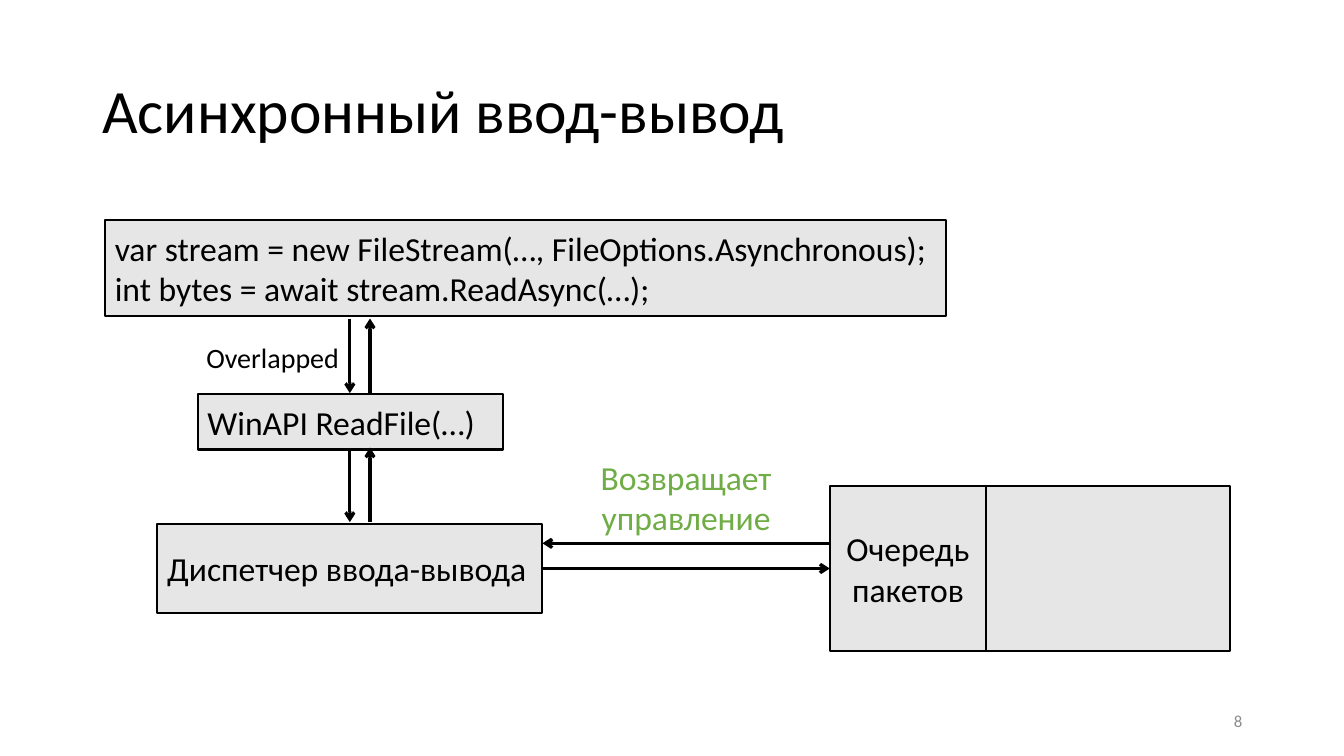
"""Build the slide on asynchronous input and output."""
import lxml.etree
import pptx
import pptx.dml.color
import pptx.enum.shapes
import pptx.enum.text
import pptx.oxml.ns
import pptx.util

BLACK = pptx.dml.color.RGBColor(0x00, 0x00, 0x00)
GRAY = pptx.dml.color.RGBColor(0xE7, 0xE6, 0xE6)
GREEN = pptx.dml.color.RGBColor(0x70, 0xAD, 0x47)
NUMBER_GRAY = pptx.dml.color.RGBColor(0x8C, 0x8C, 0x8C)
LEFT = pptx.enum.text.PP_ALIGN.LEFT
CENTER = pptx.enum.text.PP_ALIGN.CENTER
RIGHT = pptx.enum.text.PP_ALIGN.RIGHT
TOP = pptx.enum.text.MSO_ANCHOR.TOP
MIDDLE = pptx.enum.text.MSO_ANCHOR.MIDDLE

EMU_PER_PX = 9144
SLIDE_SIZE = (1333, 750)

STAGES = [
    ((104, 218, 834, 96), LEFT, [
        "var stream = new FileStream(…, FileOptions.Asynchronous);",
        "int bytes = await stream.ReadAsync(…);",
    ]),
    ((196, 391, 303, 55), LEFT, ["WinAPI ReadFile(…)"]),
    ((156, 520, 382, 88), LEFT, ["Диспетчер ввода-вывода"]),
    ((823, 482, 155, 164), CENTER, ["Очередь", "пакетов"]),
    ((978, 482, 242, 164), CENTER, []),
]

LABELS = [
    ((92, 40, 1150, 145), ["Асинхронный ввод-вывод"], 44, BLACK,
     {"word_wrap": True, "vertical_anchor": MIDDLE}, {"alignment": LEFT, "line_spacing": 0.9}),
    ((585, 448, 191, 91), ["Возвращает", "управление"], 24, GREEN,
     {"word_wrap": False, "vertical_anchor": TOP}, {"alignment": CENTER}),
    ((194, 333, 153, 44), ["Overlapped"], 20, BLACK,
     {"word_wrap": False, "vertical_anchor": TOP}, {"alignment": CENTER}),
    ((942, 695, 300, 40), ["8"], 12, NUMBER_GRAY,
     {"word_wrap": True, "vertical_anchor": MIDDLE}, {"alignment": RIGHT}),
]

CALL_X, RETURN_X = 347, 367
CALL_Y, RETURN_Y = 564, 539
STAGE_GAPS = [(316, 390), (444, 518)]
QUEUE_GAP = (538, 823)


def px(length):
    return pptx.util.Emu(length * EMU_PER_PX)


def set_attributes(target, values):
    for name, value in values.items():
        setattr(target, name, value)


def write_lines(frame, lines, size, color, frame_format, paragraph_format):
    set_attributes(frame, frame_format)
    for index, line in enumerate(lines):
        paragraph = frame.paragraphs[0] if index == 0 else frame.add_paragraph()
        set_attributes(paragraph, paragraph_format)
        run = paragraph.add_run()
        run.text = line
        set_attributes(run.font, {"name": "Calibri", "size": pptx.util.Pt(size)})
        run.font.color.rgb = color


def add_stage(slide, bounds, alignment, lines):
    stage = slide.shapes.add_shape(
        pptx.enum.shapes.MSO_SHAPE.RECTANGLE, *map(px, bounds))
    stage.shadow.inherit = False
    stage.fill.solid()
    stage.fill.fore_color.rgb = GRAY
    stage.line.color.rgb = BLACK
    stage.line.width = pptx.util.Pt(1.5)
    write_lines(stage.text_frame, lines, 24, BLACK,
                {"word_wrap": True, "vertical_anchor": MIDDLE}, {"alignment": alignment})


def add_arrow(slide, start, end):
    arrow = slide.shapes.add_connector(
        pptx.enum.shapes.MSO_CONNECTOR.STRAIGHT, *map(px, start + end))
    arrow.line.color.rgb = BLACK
    arrow.line.width = pptx.util.Pt(2.25)
    qn = pptx.oxml.ns.qn
    lxml.etree.SubElement(arrow.line._get_or_add_ln(), qn("a:tailEnd"), type="arrow")
    lxml.etree.SubElement(arrow._element.spPr, qn("a:effectLst"))


def main():
    deck = pptx.Presentation()
    deck.slide_width, deck.slide_height = map(px, SLIDE_SIZE)
    slide = deck.slides.add_slide(deck.slide_layouts[6])
    for stage in STAGES:
        add_stage(slide, *stage)
    for upper, lower in STAGE_GAPS:
        add_arrow(slide, (CALL_X, upper), (CALL_X, lower))
        add_arrow(slide, (RETURN_X, lower), (RETURN_X, upper))
    dispatcher_edge, queue_edge = QUEUE_GAP
    add_arrow(slide, (dispatcher_edge, CALL_Y), (queue_edge, CALL_Y))
    add_arrow(slide, (queue_edge, RETURN_Y), (dispatcher_edge, RETURN_Y))
    for bounds, *content in LABELS:
        label = slide.shapes.add_textbox(*map(px, bounds))
        write_lines(label.text_frame, *content)
    deck.save("out.pptx")


if __name__ == "__main__":
    main()
